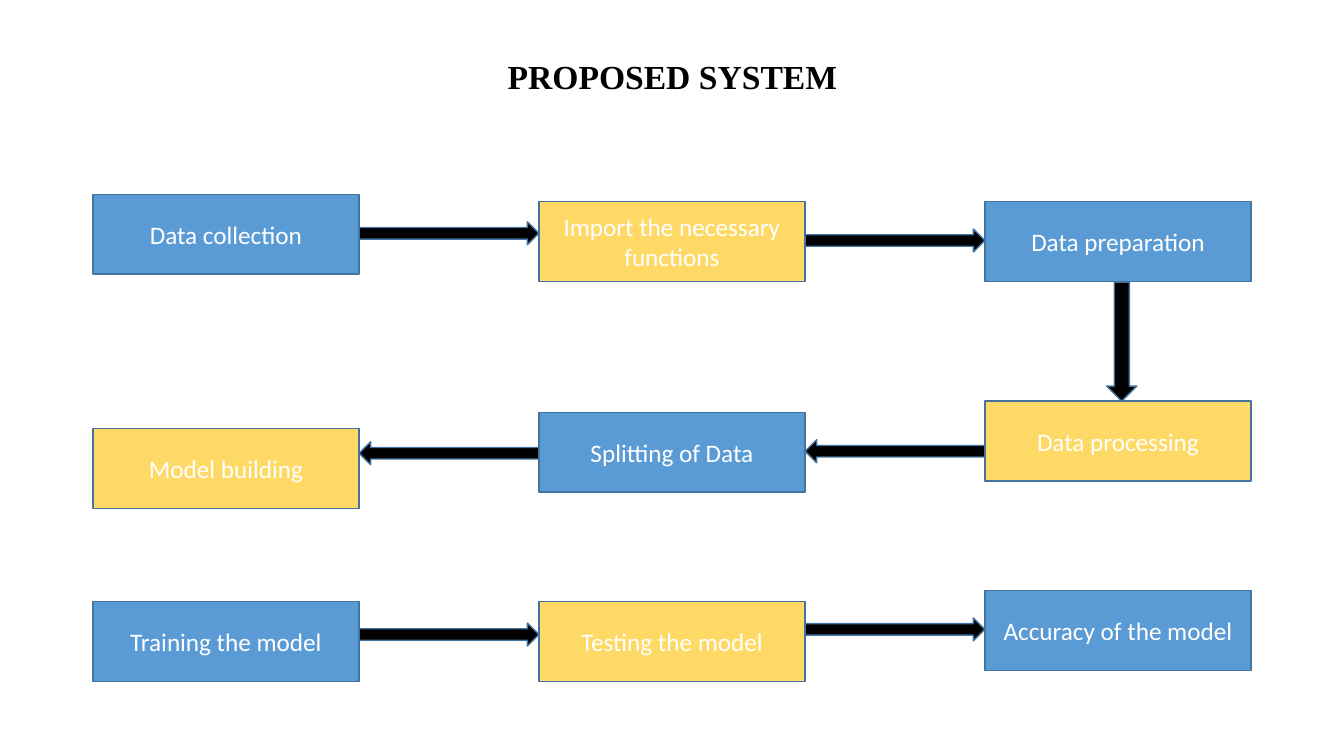
import pptx
import pptx.dml.color
import pptx.enum.shapes
import pptx.enum.text
import pptx.util
from pptx.util import Cm

SHAPES = pptx.enum.shapes.MSO_SHAPE
BLUE, YELLOW, BLACK, WHITE, OUTLINE = "5B9BD5", "FFD966", "000000", "FFFFFF", "43739E"

# Grid of steps, in centimetres
LEFT, PITCH = 2.34, 11.24
BOX_WIDTH, BOX_HEIGHT = 6.71, 2.01
ARROW_LENGTH, ARROW_HEIGHT = PITCH - BOX_WIDTH, 0.58

# Rows of (label, top), from left to right
STEP_ROWS = [
    [("Data collection", 4.9), ("Import the necessary functions", 5.08), ("Data preparation", 5.08)],
    [("Model building", 10.8), ("Splitting of Data", 10.39), ("Data processing", 10.11)],
    [("Training the model", 15.16), ("Testing the model", 15.16), ("Accuracy of the model", 14.88)],
]
# Rows of arrow rotation and the centre heights of the two arrows
ARROW_ROWS = [(0, (5.88, 6.06)), (180, (11.42, 11.37)), (0, (15.99, 15.86))]


def rgb(color):
    return pptx.dml.color.RGBColor.from_string(color)


def set_text(shape, text, font_name, size, color, bold=False):
    frame = shape.text_frame
    frame.word_wrap = True
    frame.vertical_anchor = pptx.enum.text.MSO_ANCHOR.MIDDLE
    frame.text = text
    paragraph = frame.paragraphs[0]
    paragraph.alignment = pptx.enum.text.PP_ALIGN.CENTER
    for run in paragraph.runs:
        run.font.name = font_name
        run.font.size = pptx.util.Pt(size)
        run.font.bold = bold
        run.font.color.rgb = rgb(color)


def add_outlined(slide, kind, left, top, width, height, fill):
    shape = slide.shapes.add_shape(kind, Cm(left), Cm(top), Cm(width), Cm(height))
    shape.shadow.inherit = False
    shape.fill.solid()
    shape.fill.fore_color.rgb = rgb(fill)
    shape.line.color.rgb = rgb(OUTLINE)
    shape.line.width = pptx.util.Pt(1)
    return shape


def add_title(slide, text):
    title = slide.shapes.add_textbox(Cm(LEFT), Cm(1.02), Cm(29.21), Cm(1.8))
    set_text(title, text, "Times New Roman", 24, BLACK, bold=True)


def add_step(slide, label, left, top, fill):
    box = add_outlined(slide, SHAPES.RECTANGLE, left, top, BOX_WIDTH, BOX_HEIGHT, fill)
    set_text(box, label, "Calibri", 18, WHITE)


def add_arrow(slide, left, middle, length, height, rotation):
    arrow = add_outlined(slide, SHAPES.RIGHT_ARROW, left, middle - height / 2, length, height, BLACK)
    arrow.rotation = rotation


def main():
    presentation = pptx.Presentation()
    presentation.slide_width, presentation.slide_height = Cm(33.87), Cm(19.05)
    slide = presentation.slides.add_slide(presentation.slide_layouts[6])

    add_title(slide, "PROPOSED SYSTEM")

    # Steps, in alternating colours
    for row, steps in enumerate(STEP_ROWS):
        for column, (label, top) in enumerate(steps):
            fill = YELLOW if (row + column) % 2 else BLUE
            add_step(slide, label, LEFT + column * PITCH, top, fill)

    # Arrows between columns
    for rotation, middles in ARROW_ROWS:
        for column, middle in enumerate(middles):
            left = LEFT + BOX_WIDTH + column * PITCH
            add_arrow(slide, left, middle, ARROW_LENGTH, ARROW_HEIGHT, rotation)

    # Arrow down to the second row
    add_arrow(slide, 26.77, 8.61, 3, 0.76, 90)

    presentation.save("out.pptx")


if __name__ == "__main__":
    main()
